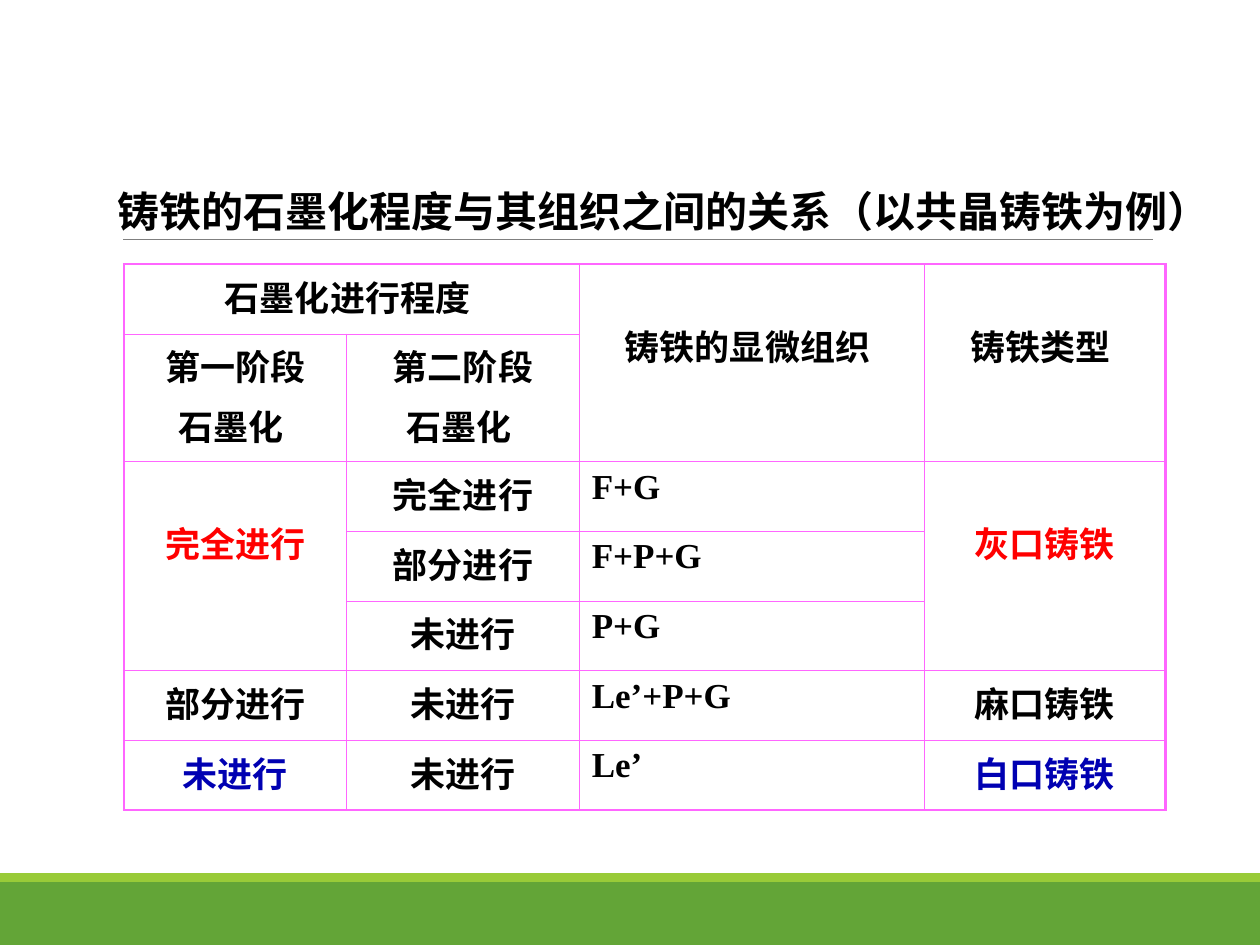
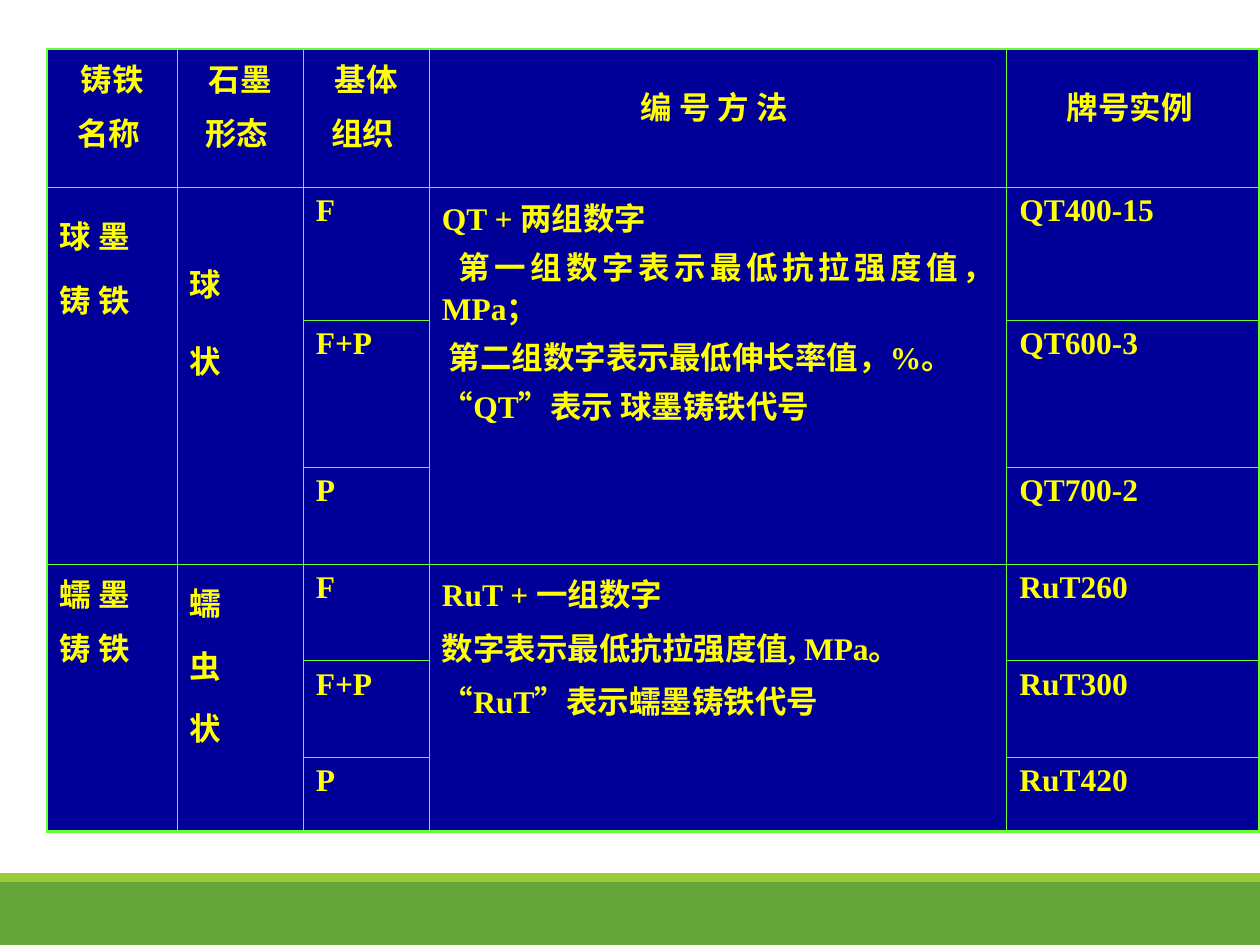
from dataclasses import dataclass
from itertools import cycle

from lxml.etree import SubElement
from pptx import Presentation
from pptx.dml.color import RGBColor
from pptx.enum.shapes import MSO_CONNECTOR, MSO_SHAPE
from pptx.enum.text import MSO_ANCHOR, PP_ALIGN
from pptx.oxml.ns import qn
from pptx.util import Pt


@dataclass(frozen=True)
class Theme:
    """Colours, fonts and type sizes of the deck."""
    band: str = "63A537"
    stripe: str = "99CB38"
    rule: str = "7F7F7F"
    ink: str = "000000"
    paper: str = "FFFFFF"
    grey_iron: str = "FF0000"
    white_iron: str = "0000B2"
    pink: str = "FF66FF"
    navy: str = "000099"
    lime: str = "66FF33"
    yellow: str = "FFFF00"
    latin: str = "Times New Roman"
    chinese: str = "Noto Sans CJK SC"
    title_size: float = 24
    outer_border: float = 1.47
    inner_border: float = 0.45


THEME = Theme()
CENTER, LEFT, JUSTIFY = PP_ALIGN.CENTER, PP_ALIGN.LEFT, PP_ALIGN.JUSTIFY


@dataclass(frozen=True)
class TableStyle:
    """Look of one table."""
    fill: str
    border: str
    ink: str
    size: float
    gap: float


@dataclass(frozen=True)
class Entry:
    """Content and layout of one table cell."""
    lines: tuple
    align: PP_ALIGN = CENTER
    span: tuple = (1, 1)
    color: str = ""
    top: float = 3.6
    leading: tuple = (1,)


def entry(*lines, **layout):
    """Make a cell entry from its lines."""
    return Entry(lines, **layout)


def add_run(paragraph, text, size, color, latin):
    """Add one bold run with Latin and Chinese fonts."""
    run = paragraph.add_run()
    run.text = text
    run.font.size = Pt(size)
    run.font.bold = True
    run.font.color.rgb = RGBColor.from_string(color)
    run.font.name = latin
    SubElement(run.font._element, qn("a:ea"), typeface=THEME.chinese)


def add_band(slide, top, height, color):
    """Add a full-width footer band."""
    band = slide.shapes.add_shape(
        MSO_SHAPE.RECTANGLE, Pt(0), Pt(top), Pt(720), Pt(height))
    band.shadow.inherit = False
    band.fill.solid()
    band.fill.fore_color.rgb = RGBColor.from_string(color)
    band.line.fill.background()


def add_banded_slide(deck):
    """Add a blank slide with the shared footer bands."""
    slide = deck.slides.add_slide(deck.slide_layouts[6])
    add_band(slide, 504, 36, THEME.band)
    add_band(slide, 499, 5, THEME.stripe)
    return slide


def add_title(slide, text):
    """Add the title and the rule below it."""
    rule = slide.shapes.add_connector(
        MSO_CONNECTOR.STRAIGHT, Pt(70.5), Pt(136.8), Pt(659), Pt(136.8))
    rule.line.color.rgb = RGBColor.from_string(THEME.rule)
    rule.line.width = Pt(0.5)
    SubElement(rule._element.spPr, qn("a:effectLst"))
    title = slide.shapes.add_textbox(Pt(60), Pt(60.5), Pt(660), Pt(77.8))
    frame = title.text_frame
    frame.word_wrap = True
    frame.vertical_anchor = MSO_ANCHOR.BOTTOM
    paragraph = frame.paragraphs[0]
    paragraph.line_spacing = 0.85
    add_run(paragraph, text, THEME.title_size, THEME.ink, THEME.chinese)


def add_borders(cell, color, on_edge):
    """Draw the four borders, heavier on the table's outer edge."""
    properties = cell._tc.get_or_add_tcPr()
    for side in "LRTB":
        width = THEME.outer_border if on_edge[side] else THEME.inner_border
        border = SubElement(properties, qn(f"a:ln{side}"), w=str(Pt(width)))
        paint = SubElement(border, qn("a:solidFill"))
        SubElement(paint, qn("a:srgbClr"), val=color)


def fill_cell(cell, content, style):
    """Write an entry into its cell."""
    cell.margin_top = Pt(content.top)
    cell.fill.solid()
    cell.fill.fore_color.rgb = RGBColor.from_string(style.fill)
    frame = cell.text_frame
    for index, (line, leading) in enumerate(
            zip(content.lines, cycle(content.leading))):
        paragraph = frame.add_paragraph() if index else frame.paragraphs[0]
        paragraph.alignment = content.align
        paragraph.line_spacing = leading
        if index:
            paragraph.space_before = Pt(style.gap)
        add_run(paragraph, line, style.size,
                content.color or style.ink, THEME.latin)


def add_grid(slide, left, top, widths, heights, rows, style):
    """Add a table; None marks a cell covered by a merge."""
    grid = slide.shapes.add_table(
        len(heights), len(widths), Pt(left), Pt(top),
        Pt(sum(widths)), Pt(sum(heights))).table
    grid.first_row = grid.horz_banding = False
    for column, width in zip(grid.columns, widths):
        column.width = Pt(width)
    for row, height in zip(grid.rows, heights):
        row.height = Pt(height)
    for r, row in enumerate(rows):
        for c, content in enumerate(row):
            if content is None:
                continue
            cell = grid.cell(r, c)
            end_row, end_column = r + content.span[0], c + content.span[1]
            if content.span != (1, 1):
                cell.merge(grid.cell(end_row - 1, end_column - 1))
            add_borders(cell, style.border, {
                "L": c == 0, "R": end_column == len(widths),
                "T": r == 0, "B": end_row == len(heights)})
            fill_cell(cell, content, style)


def add_graphitization_slide(deck):
    """Relate the degree of graphitization to the structure."""
    slide = add_banded_slide(deck)
    add_title(slide, "铸铁的石墨化程度与其组织之间的关系（以共晶铸铁为例）")
    red, blue = THEME.grey_iron, THEME.white_iron
    lowered = 31.6
    rows = [
        [entry("石墨化进行程度 ", span=(1, 2)), None,
         entry("铸铁的显微组织 ", span=(2, 1), top=lowered),
         entry("铸铁类型 ", span=(2, 1), top=lowered)],
        [entry("第一阶段", "石墨化 "), entry("第二阶段", "石墨化 "), None, None],
        [entry("完全进行", span=(3, 1), color=red, top=lowered),
         entry("完全进行"), entry("F+G", align=JUSTIFY),
         entry("灰口铸铁", span=(3, 1), color=red, top=lowered)],
        [None, entry("部分进行"), entry("F+P+G", align=JUSTIFY), None],
        [None, entry("未进行"), entry("P+G", align=JUSTIFY), None],
        [entry("部分进行"), entry("未进行"),
         entry("Le’+P+G", align=JUSTIFY), entry("麻口铸铁")],
        [entry("未进行", color=blue), entry("未进行"),
         entry("Le’", align=JUSTIFY), entry("白口铸铁", color=blue)],
    ]
    style = TableStyle(THEME.paper, THEME.pink, THEME.ink, 20, 5)
    add_grid(slide, 70.8, 151, [127.4, 132.8, 197, 138],
             [39.8, 73] + [39.8] * 5, rows, style)


def grade_rows(name, form, method, grades):
    """Make the three rows of one iron, one per matrix."""
    return [
        [*((name, form) if index == 0 else (None, None)),
         entry(matrix, align=LEFT),
         method if index == 0 else None,
         entry(grade, align=JUSTIFY)]
        for index, (matrix, grade) in enumerate(zip(("F", "F+P", "P"), grades))
    ]


def add_grade_slide(deck):
    """Show how nodular and vermicular irons are numbered."""
    slide = add_banded_slide(deck)
    tall = (3, 1)
    header = [entry("铸铁", "名称 "), entry("石墨", "形态 "),
              entry("基体", "组织 "),
              entry("编 号 方 法 ", leading=(1.6,)),
              entry("牌号实例 ", leading=(1.6,))]
    nodular = grade_rows(
        entry("球 墨 铸 铁", align=LEFT, span=tall, leading=(1.4,)),
        entry("球", "状", align=LEFT, span=tall, top=28.8, leading=(1.5,)),
        entry("QT + 两组数字",
              " 第一组数字表示最低抗拉强度值，MPa；",
              " 第二组数字表示最低伸长率值，%。",
              "“QT”表示 球墨铸铁代号",
              align=JUSTIFY, span=tall, leading=(1, 0.9, 0.9, 0.9)),
        ("QT400-15", "QT600-3", "QT700-2"))
    vermicular = grade_rows(
        entry("蠕 墨", "铸 铁", align=LEFT, span=tall),
        entry("蠕", "虫", "状", align=LEFT, span=tall, leading=(1.2,)),
        entry("RuT + 一组数字", "数字表示最低抗拉强度值, MPa。",
              "“RuT”表示蠕墨铸铁代号 ", align=JUSTIFY, span=tall),
        ("RuT260", "RuT300", "RuT420"))
    style = TableStyle(THEME.navy, THEME.lime, THEME.yellow, 18, 4.5)
    add_grid(slide, 26.9, 28, [74.4, 72, 72, 330, 144.5],
             [79, 76, 84, 55.3, 55.3, 55.3, 42.3],
             [header, *nodular, *vermicular], style)


def main():
    """Build and save the deck."""
    deck = Presentation()
    deck.slide_width, deck.slide_height = Pt(720), Pt(540)
    add_graphitization_slide(deck)
    add_grade_slide(deck)
    deck.save("out.pptx")


if __name__ == "__main__":
    main()
